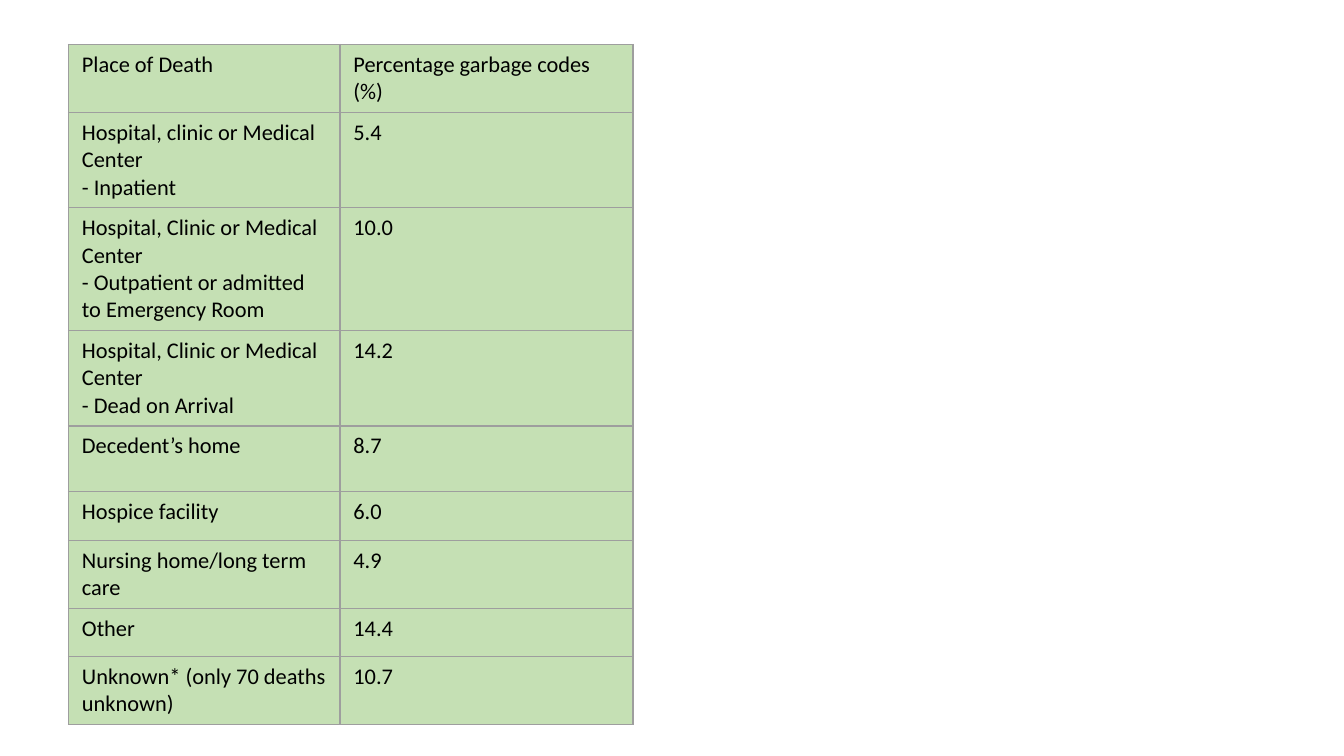
"""Build a slide with a table of garbage code percentages by place of death."""
from lxml import etree
from pptx import Presentation
from pptx import util as u
from pptx.dml.color import RGBColor
from pptx.oxml import ns

GREEN = RGBColor(0xC5, 0xE0, 0xB4)
GRAY = RGBColor(0x9E, 0x9E, 0x9E)
BLACK = RGBColor(0, 0, 0)

ROWS = [
    (0.49, "Place of Death", "Percentage garbage codes (%)"),
    (0.36, "Hospital, clinic or Medical Center\v- Inpatient", "5.4"),
    (0.36, "Hospital, Clinic or Medical Center\v"
           "- Outpatient or admitted to Emergency Room", "10.0"),
    (0.49, "Hospital, Clinic or Medical Center\n- Dead on Arrival", "14.2"),
    (0.49, "Decedent’s home", "8.7"),
    (0.36, "Hospice facility", "6.0"),
    (0.36, "Nursing home/long term care", "4.9"),
    (0.36, "Other", "14.4"),
    (0.47, "Unknown* (only 70 deaths unknown)", "10.7"),
]
WIDTHS = [2.02, 2.18]
LEFT, TOP = 0.51, 0.33
WIDE = 10


def border(cell):
    props = cell._tc.get_or_add_tcPr()
    for pos, side in enumerate(("lnL", "lnR", "lnT", "lnB")):
        line = etree.Element(ns.qn("a:" + side), w=str(u.Pt(0.75)))
        fill = etree.SubElement(line, ns.qn("a:solidFill"))
        etree.SubElement(fill, ns.qn("a:srgbClr"), val=str(GRAY))
        props.insert(pos, line)


def write(cell, words):
    frame = cell.text_frame
    for i, part in enumerate(words.split("\n")):
        para = frame.add_paragraph() if i else frame.paragraphs[0]
        for j, line in enumerate(part.split("\v")):
            if j:
                para.add_line_break()
            run = para.add_run()
            run.text = line
            run.font.name = "Calibri"
            run.font.size = u.Pt(12)
            run.font.bold = False
            run.font.color.rgb = BLACK
        para.font.size = u.Pt(12)


def main():
    deck = Presentation()
    deck.slide_width, deck.slide_height = u.Inches(WIDE), u.Inches(WIDE * 9 / 16)
    slide = deck.slides.add_slide(deck.slide_layouts[6])
    high = sum(row[0] for row in ROWS)
    grid = slide.shapes.add_table(
        len(ROWS), len(WIDTHS), u.Inches(LEFT), u.Inches(TOP),
        u.Inches(sum(WIDTHS)), u.Inches(high)).table
    grid.first_row = grid.horz_banding = False
    for col, wide in zip(grid.columns, WIDTHS):
        col.width = u.Inches(wide)
    for row, (tall, *cells) in zip(grid.rows, ROWS):
        row.height = u.Inches(tall)
        for cell, words in zip(row.cells, cells):
            cell.fill.solid()
            cell.fill.fore_color.rgb = GREEN
            border(cell)
            write(cell, words)
    deck.save("out.pptx")


if __name__ == "__main__":
    main()
